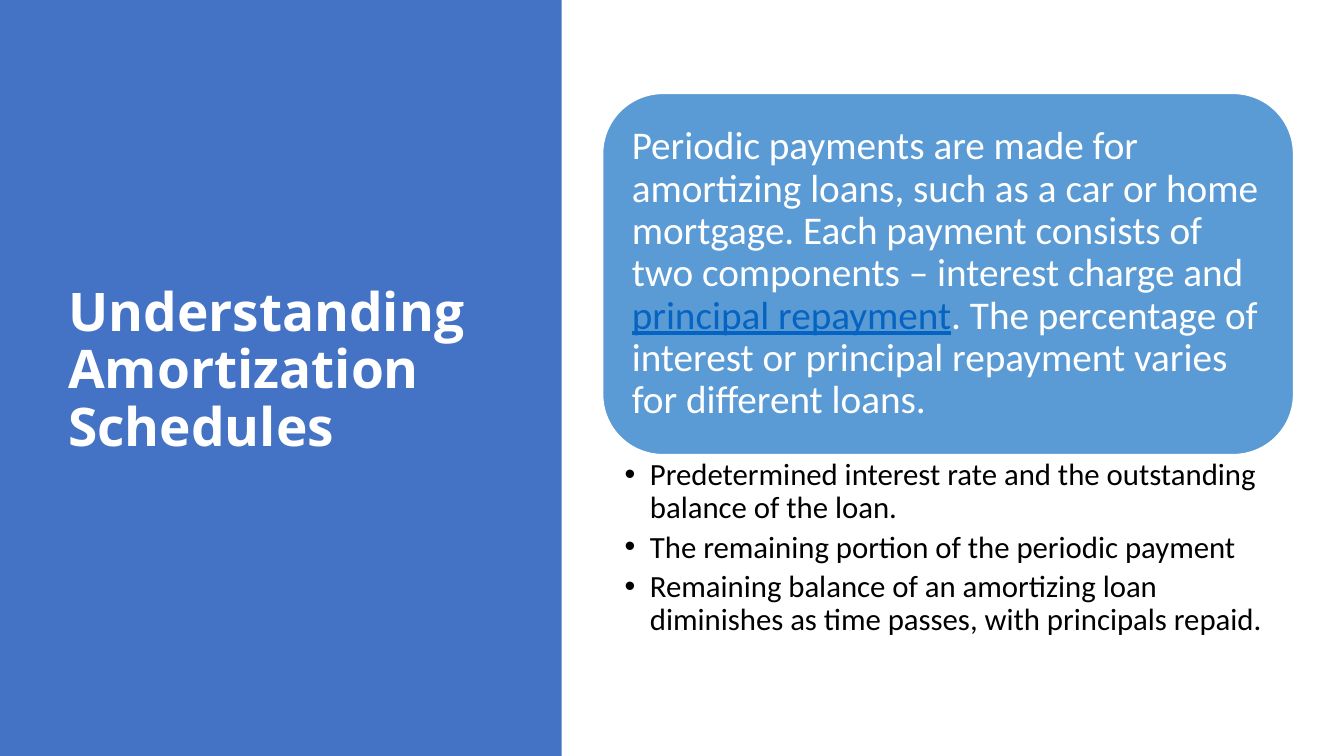
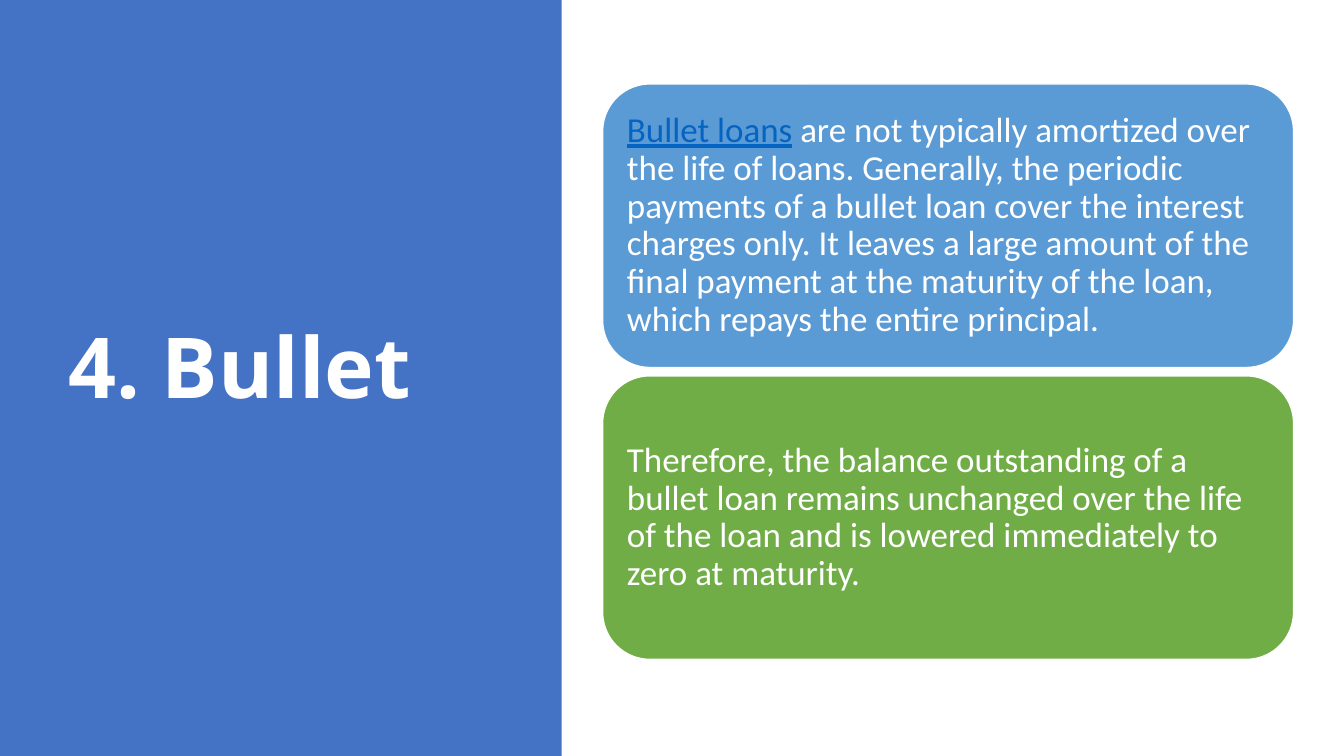
from lxml.etree import SubElement
from pptx import Presentation
from pptx.dml.color import RGBColor
from pptx.enum.shapes import MSO_SHAPE as Preset
from pptx.enum.text import MSO_ANCHOR as Anchor, PP_ALIGN as Align
from pptx.oxml.ns import qn
from pptx.util import Emu, Pt

PX = 9525
WIDTH, HEIGHT = 1280, 720
BAND_WIDTH = 535
CARD_LEFT, CARD_WIDTH = 574, 658

WHITE = RGBColor(0xFF, 0xFF, 0xFF)
BLACK = RGBColor(0x00, 0x00, 0x00)
BAND_BLUE = RGBColor(0x44, 0x72, 0xC4)
CARD_BLUE = RGBColor(0x5B, 0x9B, 0xD5)
CARD_GREEN = RGBColor(0x70, 0xAD, 0x47)
TERM_BLUE = RGBColor(0x05, 0x63, 0xC1)

TITLE_FONT = {"name": "Open Sans", "bold": True}
BODY_FONT = {"name": "Calibri"}
TERM_FONT = {"underline": True}


def px(length):
    return Emu(length * PX)


def set_attributes(target, values):
    for name, value in values.items():
        setattr(target, name, value)


class Deck:
    def __init__(self):
        self.presentation = Presentation()
        set_attributes(self.presentation,
                       {"slide_width": px(WIDTH), "slide_height": px(HEIGHT)})
        self.slide = None

    def new_slide(self, title, size):
        """Add a slide with the blue band and its white title."""
        blank = self.presentation.slide_layouts[6]
        self.slide = self.presentation.slides.add_slide(blank)
        self.box(Preset.RECTANGLE, (0, 0, BAND_WIDTH, HEIGHT), BAND_BLUE)
        frame = self.text_frame((55, 65, 399, 578), 10, 5, Anchor.MIDDLE)
        self.add_runs(frame.paragraphs[0], [title], size, WHITE, TITLE_FONT)

    def box(self, preset, bounds, fill):
        shape = self.slide.shapes.add_shape(preset, *map(px, bounds))
        shape.shadow.inherit = False
        shape.fill.solid()
        shape.fill.fore_color.rgb = fill
        shape.line.fill.background()
        return shape

    def text_frame(self, bounds, side, edge, anchor):
        frame = self.slide.shapes.add_textbox(*map(px, bounds)).text_frame
        self.format_frame(frame, side, edge, anchor)
        return frame

    def format_frame(self, frame, side, edge, anchor):
        set_attributes(frame, {
            "word_wrap": True, "vertical_anchor": anchor,
            "margin_left": px(side), "margin_right": px(side),
            "margin_top": px(edge), "margin_bottom": px(edge)})

    def add_runs(self, paragraph, parts, size, color, font, term=None):
        """Add each part as a run; the part equal to term is underlined."""
        set_attributes(paragraph, {"line_spacing": 0.9, "alignment": Align.LEFT})
        for part in parts:
            run = paragraph.add_run()
            run.text = part
            is_term = part == term
            style = {**font, **TERM_FONT} if is_term else font
            set_attributes(run.font, {"size": Pt(size), **style})
            run.font.color.rgb = TERM_BLUE if is_term else color

    def card(self, top, height, fill, size, parts, term=None):
        bounds = (CARD_LEFT, top, CARD_WIDTH, height)
        shape = self.box(Preset.ROUNDED_RECTANGLE, bounds, fill)
        shape.line.color.rgb = WHITE
        shape.line.width = Pt(1)
        inset = round(size * 0.4)
        self.format_frame(shape.text_frame, inset, inset, Anchor.MIDDLE)
        self.add_runs(shape.text_frame.paragraphs[0], parts, size, WHITE,
                      BODY_FONT, term)

    def bullets(self, top, height, size, items):
        frame = self.text_frame((CARD_LEFT, top, CARD_WIDTH, height),
                                21, 4, Anchor.TOP)
        for index, item in enumerate(items):
            paragraph = frame.add_paragraph() if index else frame.paragraphs[0]
            self.add_runs(paragraph, [item], size, BLACK, BODY_FONT)
            paragraph.space_after = Pt(size * 0.2)
            properties = paragraph._p.get_or_add_pPr()
            properties.set("marL", str(px(24)))
            properties.set("indent", str(px(-24)))
            SubElement(properties, qn("a:buFont"), typeface="Arial")
            SubElement(properties, qn("a:buChar"), char="•")


def main():
    deck = Deck()

    deck.new_slide("Understanding Amortization Schedules", 38)
    deck.card(89, 344, CARD_BLUE, 28, [
        "Periodic payments are made for amortizing loans, such as a car or "
        "home mortgage. Each payment consists of two components – interest "
        "charge and ",
        "principal repayment",
        ". The percentage of interest or principal repayment varies for "
        "different loans.",
    ], term="principal repayment")
    deck.bullets(433, 185, 22, [
        "Predetermined interest rate and the outstanding balance of the loan.",
        "The remaining portion of the periodic payment",
        "Remaining balance of an amortizing loan diminishes as time passes, "
        "with principals repaid.",
    ])

    deck.new_slide("4. Bullet", 60)
    cards = [
        (CARD_BLUE, [
            "Bullet loans",
            " are not typically amortized over the life of loans. Generally, "
            "the periodic payments of a bullet loan cover the interest charges "
            "only. It leaves a large amount of the final payment at the "
            "maturity of the loan, which repays the entire principal."]),
        (CARD_GREEN, [
            "Therefore, the balance outstanding of a bullet loan remains "
            "unchanged over the life of the loan and is lowered immediately "
            "to zero at maturity."]),
    ]
    for index, (fill, parts) in enumerate(cards):
        deck.card(80 + index * 278, 270, fill, 25, parts, term="Bullet loans")

    deck.presentation.save("out.pptx")


if __name__ == "__main__":
    main()
